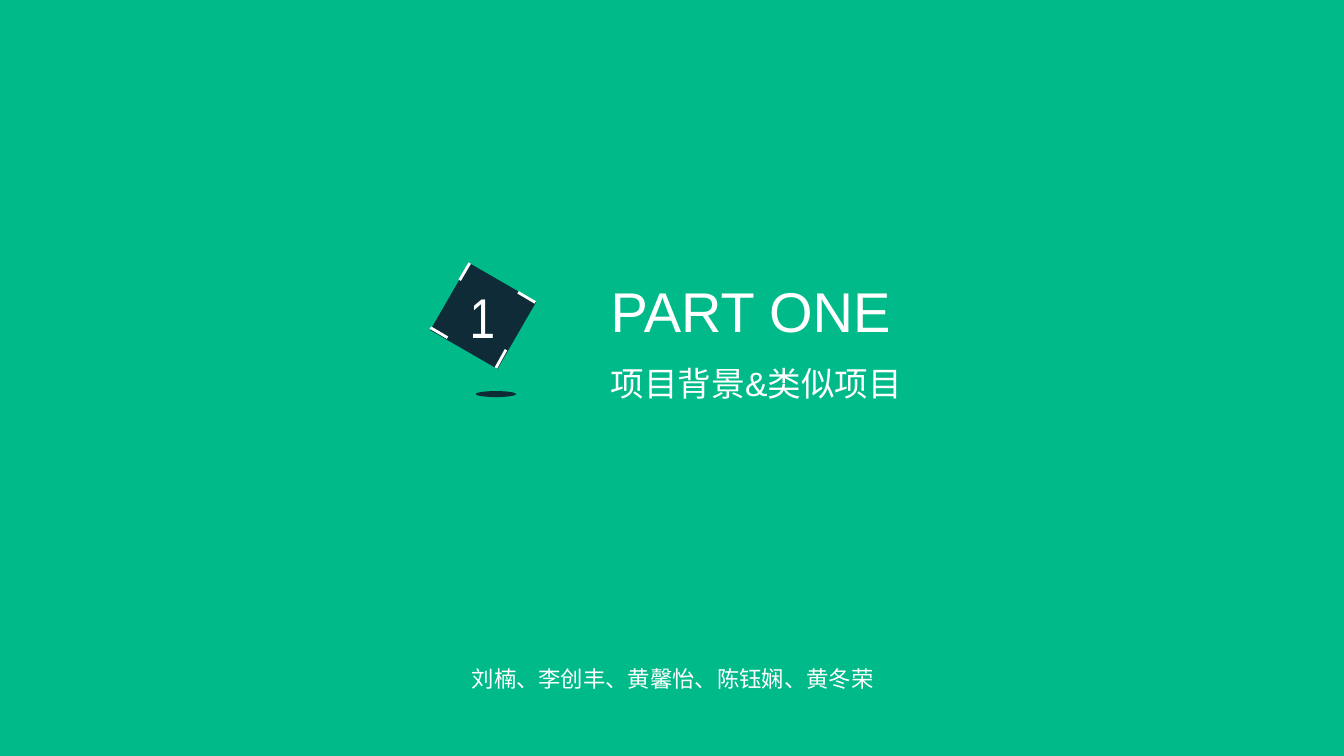
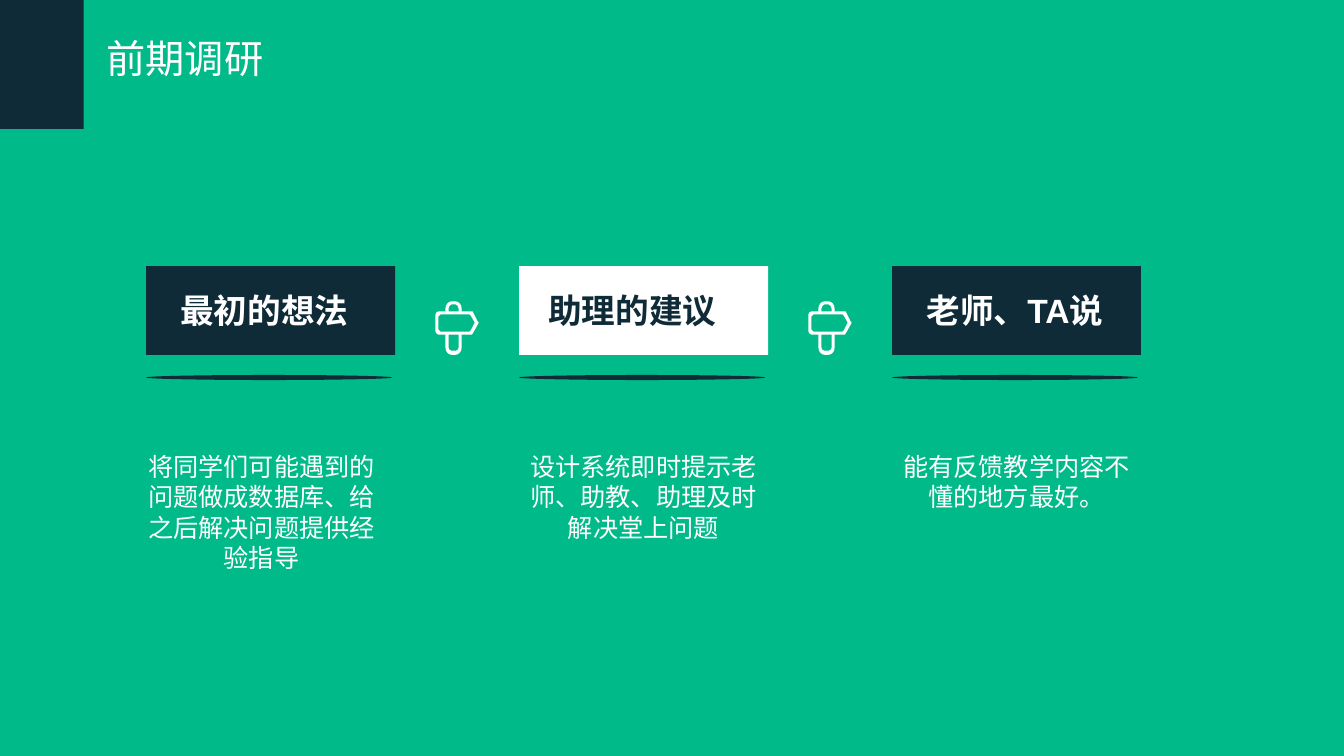
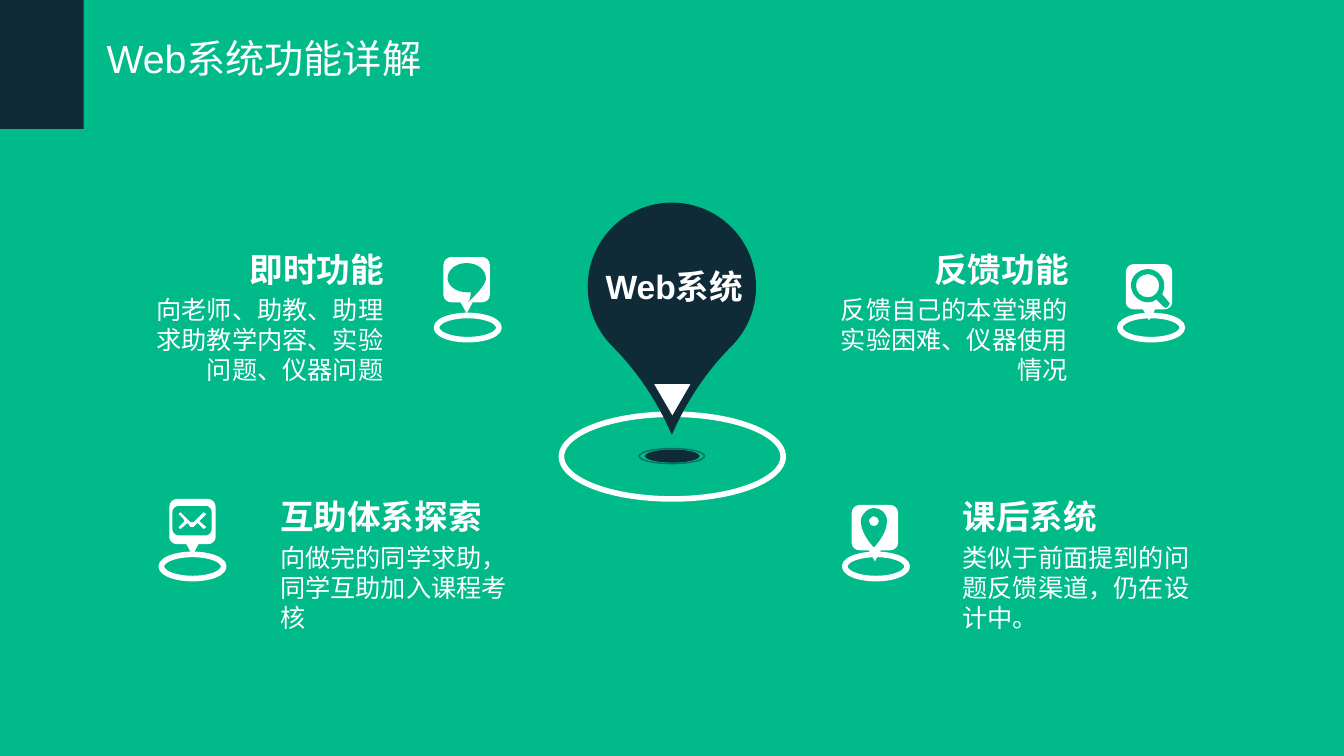
from lxml import etree
from pptx import Presentation
from pptx import util as u
from pptx.dml.color import RGBColor
from pptx.enum import shapes, text
from pptx.oxml.ns import qn

PX = 9144
HUES = {"green": "00BA89", "navy": "0F2B37", "white": "FFFFFF"}
FONT = "Arial"
KIND = shapes.MSO_SHAPE
LEFT, MID, RIGHT = text.PP_ALIGN.LEFT, text.PP_ALIGN.CENTER, text.PP_ALIGN.RIGHT

SIGN = [
    [(42, 20), (37, 10), (36, 10), (26, 10), (26, 7), (26, 3, 23, 0, 20, 0), (16, 0),
     (13, 0, 10, 3, 10, 7), (10, 10), (3, 10), (2, 10, 0, 11, 0, 13), (0, 30),
     (0, 31, 2, 33, 3, 33), (10, 33), (10, 46), (10, 50, 13, 53, 16, 53), (20, 53),
     (23, 53, 26, 50, 26, 46), (26, 33), (36, 33), (36, 33, 37, 33, 37, 32),
     (42, 23), (43, 22, 43, 22, 43, 21), (43, 21, 43, 21, 42, 20)],
    [(13, 7), (13, 5, 15, 3, 16, 3), (20, 3), (21, 3, 23, 5, 23, 7), (23, 10), (13, 10)],
    [(23, 46), (23, 48, 21, 49, 20, 49), (16, 49), (15, 49, 13, 48, 13, 46), (13, 33), (23, 33)],
    [(35, 29), (35, 30, 35, 30, 34, 30), (5, 30), (4, 30, 3, 29, 3, 28), (3, 15),
     (3, 14, 4, 13, 5, 13), (34, 13), (35, 13, 35, 13, 35, 14), (39, 21)],
]
CARD = [
    [(8, 0), (38, 0), (42, 0, 46, 3, 46, 8), (46, 38), (46, 42, 42, 45, 38, 45), (29, 45),
     (23, 56), (17, 45), (8, 45), (4, 45, 0, 42, 0, 38), (0, 8), (0, 3, 4, 0, 8, 0)],
]
CHAT = [
    [(42, 21), (42, 13, 34, 6, 23, 6), (12, 6, 4, 13, 4, 21), (4, 28, 12, 35, 23, 35),
     (26, 35), (27, 34), (27, 38, 27, 42, 24, 45), (24, 45, 42, 29, 42, 22)],
]
LENS = [
    [(42, 37), (36, 30), (37, 28, 38, 25, 38, 21), (38, 12, 30, 5, 22, 5),
     (13, 5, 5, 12, 5, 21), (5, 30, 13, 38, 22, 38), (25, 38, 28, 37, 30, 35), (37, 42),
     (38, 44, 41, 44, 42, 42), (44, 40, 44, 38, 42, 37)],
    [(22, 33), (15, 33, 10, 28, 10, 21), (10, 15, 15, 10, 22, 10),
     (28, 10, 33, 15, 33, 21), (33, 28, 28, 33, 22, 33)],
]
PIN = [
    [(35, 14), (34, 8, 29, 3, 22, 3), (16, 3, 11, 8, 9, 14), (9, 16),
     (9, 29, 22, 42, 22, 42), (22, 42, 35, 29, 35, 16)],
    [(22, 21), (20, 21, 17, 19, 17, 16), (17, 14, 20, 11, 22, 11),
     (25, 11, 27, 14, 27, 16), (27, 19, 25, 21, 22, 21)],
]
MAIL = [
    [(37, 7), (9, 7), (6, 7, 3, 10, 3, 13), (3, 30), (3, 33, 6, 36, 9, 36), (37, 36),
     (39, 36, 42, 33, 42, 30), (42, 13), (42, 10, 39, 7, 37, 7)],
    [(37, 28), (34, 30), (28, 24), (24, 28), (21, 28), (18, 24), (11, 30), (9, 28), (15, 22),
     (14, 20), (9, 15), (11, 13), (21, 23), (24, 23), (34, 13), (37, 15), (32, 20), (30, 22)],
]


def hue(name):
    return RGBColor.from_string(HUES[name])


def emu(*vals):
    return [u.Emu(v * PX) for v in vals]


def paint(item, fill=None, line=None, wide=1):
    item.shadow.inherit = False
    if fill:
        item.fill.solid()
        item.fill.fore_color.rgb = hue(fill)
    else:
        item.fill.background()
    if line:
        item.line.color.rgb = hue(line)
        item.line.width = u.Pt(wide)
    else:
        item.line.fill.background()
    return item


def put(slide, kind, box, **look):
    return paint(slide.shapes.add_shape(kind, *emu(*box)), **look)


def bend(item, x, y, loops):
    steps = [step for loop in loops for step in loop[1:]]
    dx, dy = x * PX - item.left, y * PX - item.top
    for node, step in zip(list(item._element.iter(qn("a:lnTo"))), steps):
        if len(step) == 2:
            continue
        node.tag = qn("a:cubicBezTo")
        node.clear()
        for px, py in zip(step[::2], step[1::2]):
            etree.SubElement(node, qn("a:pt"), x=str(px * PX + dx), y=str(py * PX + dy))


def draw(slide, x, y, loops, fill):
    pen = None
    for loop in loops:
        pts = [emu(x + step[-2], y + step[-1]) for step in loop]
        if pen is None:
            pen = slide.shapes.build_freeform(*pts[0], scale=1.0)
        else:
            pen.move_to(*pts[0])
        pen.add_line_segments(pts[1:], close=True)
    item = pen.convert_to_shape()
    bend(item, x, y, loops)
    paint(item, fill=fill)


def write(slide, box, words, size, align=LEFT, tint="white", bold=False, face=FONT):
    frame = slide.shapes.add_textbox(*emu(*box)).text_frame
    frame.word_wrap = True
    frame.auto_size = text.MSO_AUTO_SIZE.SHAPE_TO_FIT_TEXT
    para = frame.paragraphs[0]
    para.alignment = align
    run = para.add_run()
    run.text = words
    run.font.size = u.Pt(size)
    run.font.name = face
    run.font.bold = bold
    run.font.color.rgb = hue(tint)


def tick(slide, start, end):
    line = slide.shapes.add_connector(shapes.MSO_CONNECTOR.STRAIGHT, *emu(*start, *end))
    line.line.color.rgb = hue("white")
    line.line.width = u.Pt(2)
    etree.SubElement(line._element.spPr, qn("a:effectLst"))


def header(slide, words):
    write(slide, (96, 29, 357, 60), words, 28)
    put(slide, KIND.RECTANGLE, (0, 0, 83, 128), fill="navy")


def badge(slide, x, y, mark):
    put(slide, KIND.RECTANGLE, (x, y, 77, 77), fill="navy").rotation = 30
    for ax, ay, bx, by in ((73, 15, 90, 25), (-14, 50, 3, 60), (25, -14, 15, 3), (61, 72, 51, 90)):
        tick(slide, (x + ax, y + ay), (x + bx, y + by))
    write(slide, (x + 15, y, 55, 77), mark, 40, face="Arial Narrow")
    put(slide, KIND.OVAL, (x + 31, y + 113, 40, 6), fill="navy")


def cover(slide):
    badge(slide, 441, 275, "1")
    write(slide, (596, 269, 359, 77), "PART ONE", 40)
    write(slide, (596, 355, 309, 53), "项目背景&类似项目", 24)
    write(slide, (439, 655, 457, 39), "刘楠、李创丰、黄馨怡、陈钰娴、黄冬荣", 16, MID)


def step(slide, x, y, head, span, body, shift, fill, tint):
    put(slide, KIND.RECTANGLE, (x, y, 247, 88), fill=fill)
    write(slide, (x + span[0], y + 19, span[1], 53), head, 24, RIGHT, tint, True)
    put(slide, KIND.OVAL, (x, y + 108, 244, 5), fill="navy")
    write(slide, (x + shift, y + 179, 263, 132), body, 18, MID)


def survey(slide):
    header(slide, "前期调研")
    steps = [
        ("最初的想法 ", (10, 208), "将同学们可能遇到的问题做成数据库、给之后解决问题提供经验指导", -17, "navy", "white"),
        ("助理的建议 ", (-50, 263), "设计系统即时提示老师、助教、助理及时解决堂上问题", -8, "white", "navy"),
        ("老师、TA说 ", (9, 218), "能有反馈教学内容不懂的地方最好。", -8, "navy", "white"),
    ]
    for i, parts in enumerate(steps):
        x = 145 + 370 * i
        step(slide, x, 264, *parts)
        if i < len(steps) - 1:
            draw(slide, x + 287, 299, SIGN, "white")


def hub(slide, x, y):
    put(slide, KIND.OVAL, (x, y + 210, 220, 84), line="white", wide=4)
    drop = put(slide, KIND.TEAR, (x + 26, y, 167, 167), fill="navy")
    drop.adjustments[0] = 1.244
    drop.rotation = 135
    put(slide, KIND.OVAL, (x + 83, y + 245, 54, 13), fill="navy")
    halo = put(slide, KIND.OVAL, (x + 77, y + 244, 65, 15), line="navy")
    tone = halo.line._ln.find(".//" + qn("a:srgbClr"))
    etree.SubElement(tone, qn("a:alpha")).set("val", "50000")
    write(slide, (x + 14, y + 58, 196, 53), "Web系统", 24, MID, bold=True)
    tip = put(slide, KIND.ISOSCELES_TRIANGLE, (x + 92, y + 180, 36, 31), fill="white")
    tip.rotation = 180


def icon(slide, x, y, inset, lift, loops):
    put(slide, KIND.OVAL, (x, y, 62, 24), line="white", wide=4)
    draw(slide, x + inset, y - lift, CARD, "white")
    draw(slide, x + inset, y - lift, loops, "green")


def trait(slide, x, y, align, head, wide, body, ring, inset, lift, loops):
    flush = align == RIGHT
    icon(slide, x + ring, y + (71 if flush else 63), inset, lift, loops)
    start = x + 262 - wide if flush else x
    write(slide, (start, y, wide, 53), head, 24, align, bold=True)
    write(slide, (x, y + (45 if flush else 46), 261, 102), body, 18, align)


def detail(slide):
    header(slide, "Web系统功能详解")
    hub(slide, 557, 201)
    for parts in (
        (945, 487, LEFT, "课后系统", 196, "类似于前面提到的问题反馈渠道，仍在设计中。", -107, 7, 49, PIN),
        (808, 242, RIGHT, "反馈功能", 196, "反馈自己的本堂课的实验困难、仪器使用情况", 303, 6, 51, LENS),
        (268, 487, LEFT, "互助体系探索", 242, "向做完的同学求助，同学互助加入课程考核", -108, 8, 55, MAIL),
        (129, 242, RIGHT, "即时功能", 196, "向老师、助教、助理求助教学内容、实验问题、仪器问题", 304, 7, 58, CHAT),
    ):
        trait(slide, *parts)


def main():
    deck = Presentation()
    deck.slide_height = u.Emu(750 * PX)
    deck.slide_width = u.Emu(deck.slide_height * 16 // 9)
    back = deck.slide_master.background.fill
    back.solid()
    back.fore_color.rgb = hue("green")
    for make in (cover, survey, detail):
        make(deck.slides.add_slide(deck.slide_layouts[6]))
    deck.save("out.pptx")


if __name__ == "__main__":
    main()
